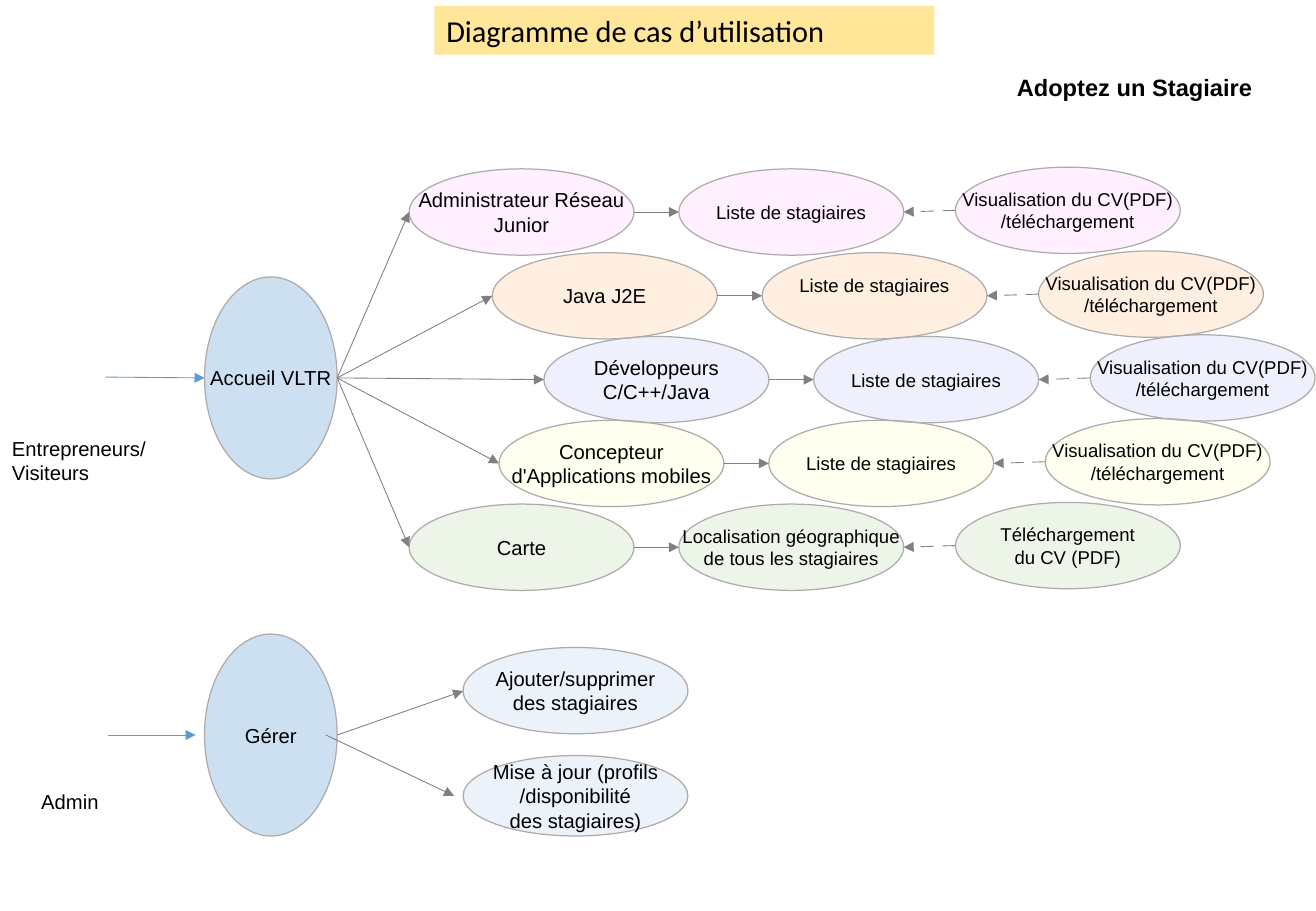
from collections import namedtuple
from lxml.etree import SubElement
from pptx import Presentation
from pptx.dml.color import RGBColor
from pptx.enum.shapes import MSO_CONNECTOR as CONN, MSO_SHAPE as SHAPE
from pptx.enum.text import MSO_ANCHOR as ANCHOR, PP_ALIGN as ALIGN
from pptx.oxml.ns import qn
from pptx.util import Inches, Pt

WIDTH, HEIGHT = 10.83, 7.5
COL, ROW = 1.85, 0.69              # one use case wide, one lane high
OVAL_H = 1.03                      # rows
HOME_X, HOME_W, HOME_H = 0.91, 0.59, 2.41

BLACK = RGBColor(0x00, 0x00, 0x00)
GREY = RGBColor(0x80, 0x80, 0x80)
OUTLINE = RGBColor(0xAF, 0xAB, 0xAB)
BLUE = RGBColor(0x5B, 0x9B, 0xD5)
SKY = RGBColor(0xBD, 0xD7, 0xEE)
GOLD = RGBColor(0xFF, 0xE6, 0x99)
PINK = RGBColor(0xFF, 0xCC, 0xFF)
ORANGE = RGBColor(0xFF, 0xCC, 0x99)
LILAC = RGBColor(0xC9, 0xCE, 0xFB)
YELLOW = RGBColor(0xFF, 0xFF, 0xCC)
GREEN = RGBColor(0xC5, 0xE0, 0xB4)

Box = namedtuple("Box", "x y w h")  # inches
LIST = "Liste de stagiaires"
VIEW = "Visualisation du CV(PDF)\n/téléchargement"
# first column, colour, topic, list, document
LANES = [
    (1.82, PINK, "Administrateur Réseau\nJunior", LIST, VIEW),
    (2.19, ORANGE, "Java J2E", LIST, VIEW),
    (2.42, LILAC, "Développeurs\nC/C++/Java", LIST, VIEW),
    (2.22, YELLOW, "Concepteur\nd'Applications mobiles", LIST, VIEW),
    (1.82, GREEN, "Carte", "Localisation géographique\nde tous les stagiaires",
     "Téléchargement\ndu CV (PDF)"),
]


def point(box, col, row):
    return Inches(box.x + col * COL), Inches(box.y + row * ROW)


def write(s, text, size, font="Arial", bold=False, align=ALIGN.LEFT, wrap=False):
    tf = s.text_frame
    tf.word_wrap = wrap
    for i, line in enumerate(text.split("\n")):
        p = tf.paragraphs[0] if i == 0 else tf.add_paragraph()
        p.alignment = align
        r = p.add_run()
        r.text = line
        r.font.size, r.font.name, r.font.bold = Pt(size), font, bold
        r.font.color.rgb = BLACK


def label(sp, box, col, row, w, h, text, size=12, bold=False):
    s = sp.add_textbox(*point(box, col, row), Inches(w * COL), Inches(h * ROW))
    write(s, text, size, bold=bold, wrap=True)


def oval(sp, box, col, row, text, color, w=1, h=OVAL_H, size=12):
    s = sp.add_shape(SHAPE.OVAL, *point(box, col, row), Inches(w * COL), Inches(h * ROW))
    s.shadow.inherit = False
    s.fill.solid()
    s.fill.fore_color.rgb = color
    tint = s.fill._xPr.find(qn("a:solidFill"))[0]
    SubElement(tint, qn("a:alpha")).set("val", "30000")
    s.line.color.rgb, s.line.width = OUTLINE, Pt(0.75)
    s.text_frame.vertical_anchor = ANCHOR.MIDDLE
    write(s, text, size, align=ALIGN.CENTER)
    return s


def arrow(sp, box, start, end, color=GREY, dashed=False):
    s = sp.add_connector(CONN.STRAIGHT, *point(box, *start), *point(box, *end))
    s.line.color.rgb, s.line.width = color, Pt(0.51)
    ln = s.line._get_or_add_ln()
    if dashed:
        dash = SubElement(SubElement(ln, qn("a:custDash")), qn("a:ds"))
        dash.set("d", "1500000")
        dash.set("sp", "1000000")
    SubElement(ln, qn("a:tailEnd")).set("type", "triangle")
    SubElement(s._element.spPr, qn("a:effectLst"))


def heading(sp, box):
    # Title band and project name
    s = sp.add_shape(SHAPE.RECTANGLE, Inches(box.x + 0.33 * box.w), Inches(box.y + 0.05),
                     Inches(0.38 * box.w), Inches(0.4))
    s.shadow.inherit = False
    s.fill.solid()
    s.fill.fore_color.rgb = GOLD
    s.line.fill.background()
    s.text_frame.vertical_anchor = ANCHOR.TOP
    write(s, "Diagramme de cas d’utilisation", 18, "Calibri", wrap=True)
    label(sp, box, 4.47, 0.8, 1.25, 0.48, "Adoptez un Stagiaire", 14, True)


def visitor_cases(sp, box):
    # Actor and entry point
    home_row = 1.29
    middle = home_row + HOME_H / 2
    label(sp, box, 0, 3.12, 0.8, 0.72, "Entrepreneurs/\nVisiteurs")
    oval(sp, box, HOME_X, home_row, "Accueil VLTR", BLUE, HOME_W, HOME_H)
    arrow(sp, box, (0.47, middle - 0.01), (HOME_X, middle), BLUE)

    # One lane per topic: topic -> list <- document
    for row, (col, color, topic, listing, document) in enumerate(LANES):
        list_col, doc_col = col + 1.2, col + 2.43
        mid = row + OVAL_H / 2
        oval(sp, box, col, row, topic, color)
        s = oval(sp, box, list_col, row, listing, color, size=11)
        if topic == "Java J2E":    # this list name sits half a line higher
            s.text_frame.margin_bottom = Inches(0.23)
        oval(sp, box, doc_col, row - 0.02, document, color, size=11)
        arrow(sp, box, (HOME_X + HOME_W, middle), (col, mid))
        arrow(sp, box, (col + 1, mid), (list_col, mid))
        arrow(sp, box, (doc_col, mid - 0.02), (list_col + 1, mid), dashed=True)


def admin_cases(sp, box):
    # Actor and entry point
    middle = HOME_H / 2
    label(sp, box, 0.13, 1.78, 0.45, 0.44, "Admin")
    oval(sp, box, HOME_X, 0, "Gérer", BLUE, HOME_W, HOME_H)
    arrow(sp, box, (0.48, middle), (0.87, middle), BLUE)

    # Administration tasks
    oval(sp, box, 2.06, 0.16, "Ajouter/supprimer\ndes stagiaires", SKY)
    oval(sp, box, 2.06, 1.45, "Mise à jour (profils\n/disponibilité\ndes stagiaires)", SKY, h=0.96)
    arrow(sp, box, (1.5, middle), (2.06, 0.68))
    arrow(sp, box, (1.45, middle), (2.02, 1.93))


prs = Presentation()
prs.slide_width, prs.slide_height = Inches(WIDTH), Inches(HEIGHT)
sp = prs.slides.add_slide(prs.slide_layouts[6]).shapes
heading(sp, Box(0, 0, WIDTH, 1))
visitor_cases(sp, Box(0, 1.39, WIDTH, 3.47))
admin_cases(sp, Box(0, 5.22, WIDTH, 1.66))
prs.save("out.pptx")
